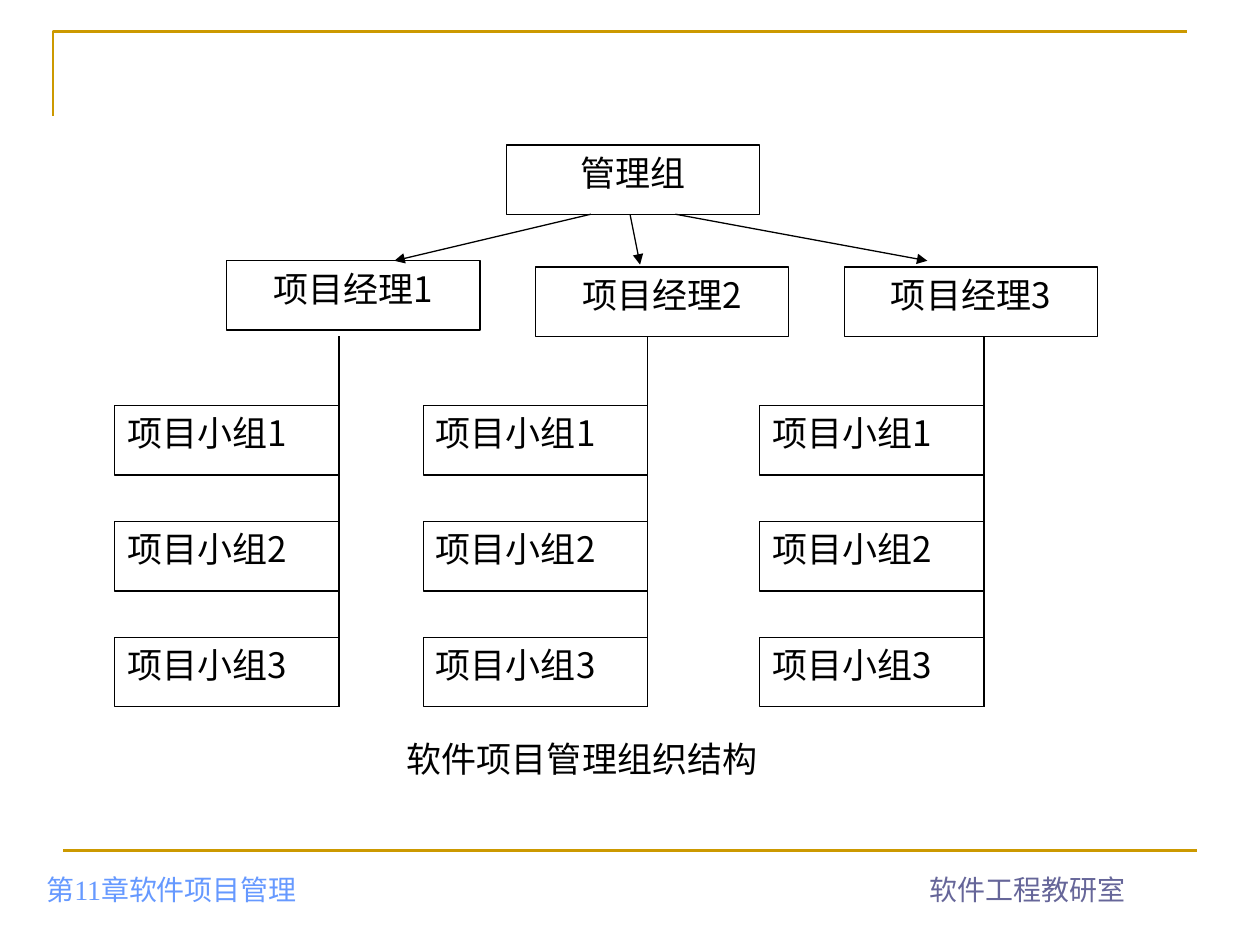
from pptx import Presentation
from pptx.dml.color import RGBColor as RGB
from pptx.enum.shapes import MSO_CONNECTOR as LINK, MSO_SHAPE as SHAPE
from pptx.enum.text import MSO_ANCHOR as ANCHOR, PP_ALIGN as ALIGN
from pptx.oxml.ns import qn
from pptx.util import Inches, Pt
from lxml.etree import SubElement

COLORS = {"ink": "000000", "paper": "FFFFFF", "gold": "CC9900",
          "blue": "6699FF", "slate": "666699"}
CJK = "Noto Sans CJK SC"


def write(shape, text, align, size=20, color="ink", face=CJK, anchor=ANCHOR.TOP):
    frame = shape.text_frame
    frame.word_wrap = True
    frame.vertical_anchor = anchor
    para = frame.paragraphs[0]
    para.alignment = align
    run = para.add_run()
    run.text = text
    for key, value in {"name": face, "size": Pt(size)}.items():
        setattr(run.font, key, value)
    run.font.color.rgb = RGB.from_string(COLORS[color])
    SubElement(run.font._element, qn("a:ea"), typeface=CJK)


def link(x1, y1, x2, y2, color="ink", width=0.75, arrow=False):
    line = slide.shapes.add_connector(
        LINK.STRAIGHT, Inches(x1), Inches(y1), Inches(x2), Inches(y2))
    line.line.color.rgb = RGB.from_string(COLORS[color])
    line.line.width = Pt(width)
    if arrow:
        SubElement(line.line._get_or_add_ln(), qn("a:tailEnd"), type="triangle")
    SubElement(line._element.spPr, qn("a:effectLst"))


deck = Presentation()
deck.slide_width, deck.slide_height = Inches(10), Inches(7.5)
slide = deck.slides.add_slide(deck.slide_layouts[6])

pen = slide.shapes.build_freeform(Inches(0.42), Inches(0.92))
pen.add_line_segments(
    [(Inches(0.42), Inches(0.25)), (Inches(9.42), Inches(0.25))], close=False)
corner = pen.convert_to_shape()
corner.shadow.inherit = False
corner.fill.background()
corner.line.color.rgb = RGB.from_string(COLORS["gold"])
corner.line.width = Pt(1.5)
link(0.5, 6.75, 9.5, 6.75, "gold", 1.5)

for text, left, width, align, color in [
        ("第11章软件项目管理", 0.27, 3.94, ALIGN.LEFT, "blue"),
        ("软件工程教研室", 6.57, 3.17, ALIGN.CENTER, "slate")]:
    foot = slide.shapes.add_textbox(
        Inches(left), Inches(6.74), Inches(width), Inches(0.5))
    write(foot, text, align, 16, color, "Times New Roman", ANCHOR.BOTTOM)

boxes = [("软件项目管理组织结构", 3.13, 5.8, 4.01, ALIGN.JUSTIFY, False),
         ("管理组", 4.02, 1.15, 2.01, ALIGN.CENTER, True)]
columns = [(1.8, 2.07, 2.69), (4.25, 2.12, 5.14), (6.7, 2.12, 7.81)]
for col, (left, top, stem) in enumerate(columns, 1):
    boxes.append((f"项目经理{col}", left, top, 2.01, ALIGN.CENTER, True))
    for row in range(3):
        boxes.append((f"项目小组{row + 1}", stem - 1.78, 3.22 + 0.92 * row,
                      1.78, ALIGN.JUSTIFY, True))

for text, left, top, width, align, border in boxes:
    box = slide.shapes.add_shape(
        SHAPE.RECTANGLE, Inches(left), Inches(top), Inches(width), Inches(0.55))
    box.shadow.inherit = False
    box.fill.solid()
    box.fill.fore_color.rgb = RGB.from_string(COLORS["paper"])
    if border:
        box.line.color.rgb = RGB.from_string(COLORS["ink"])
        box.line.width = Pt(0.75)
    else:
        box.line.fill.background()
    write(box, text, align)

for left, top, stem in columns:
    link(stem, 2.67, stem, 5.61)
for start, end, low in [(4.69, 3.13, 2.07), (5, 5.08, 2.1), (5.36, 7.36, 2.07)]:
    link(start, 1.7, end, low, arrow=True)

deck.save("out.pptx")
